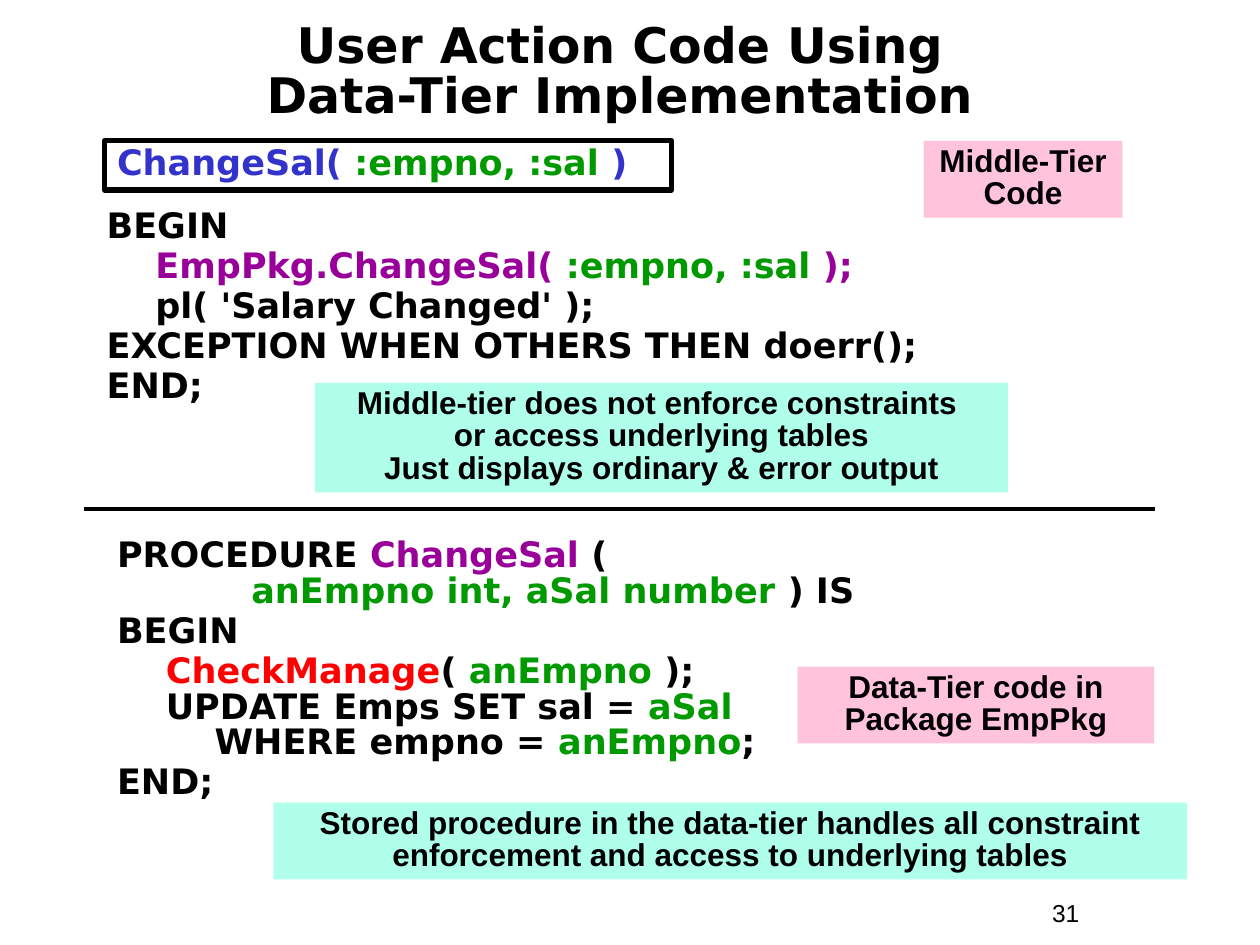
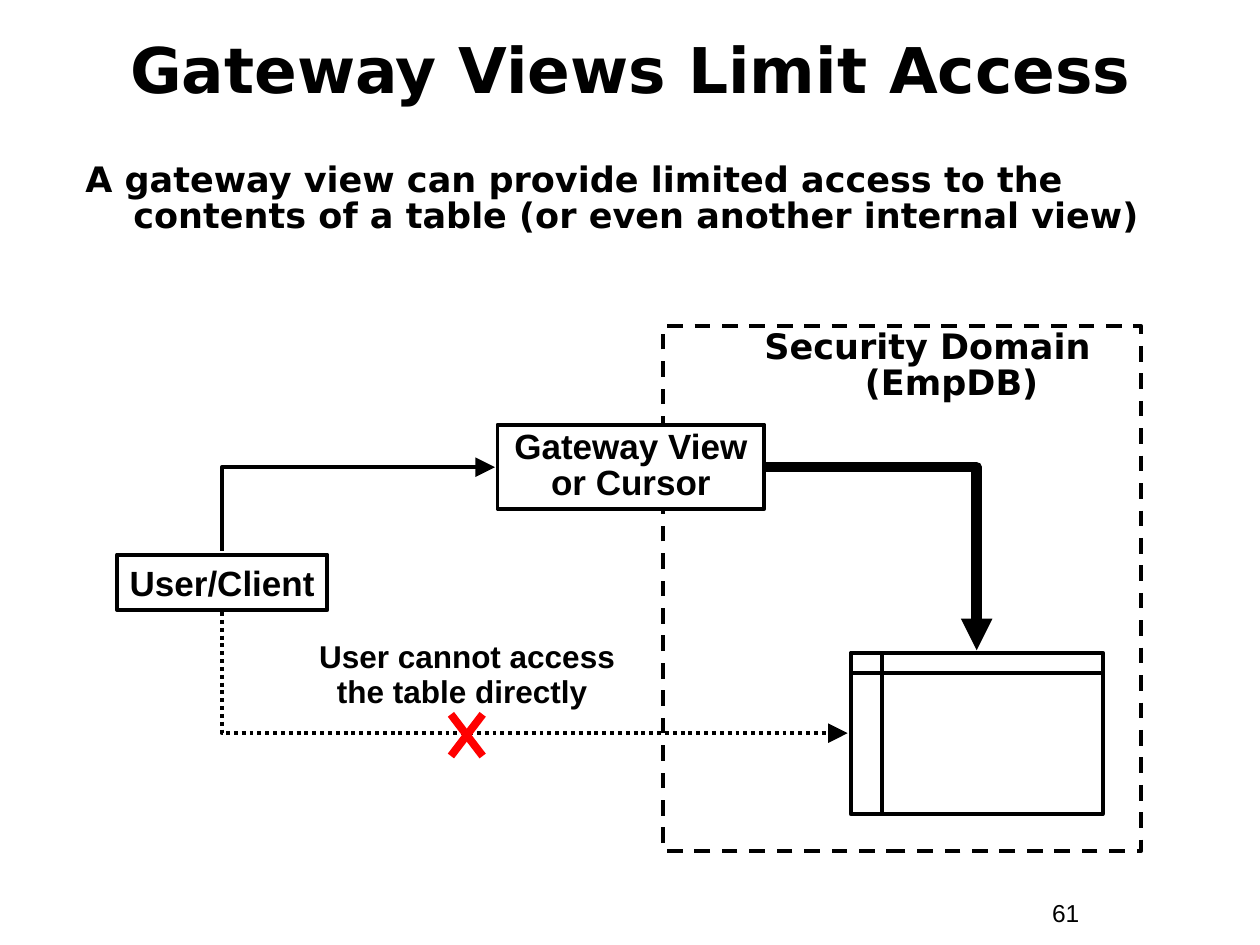
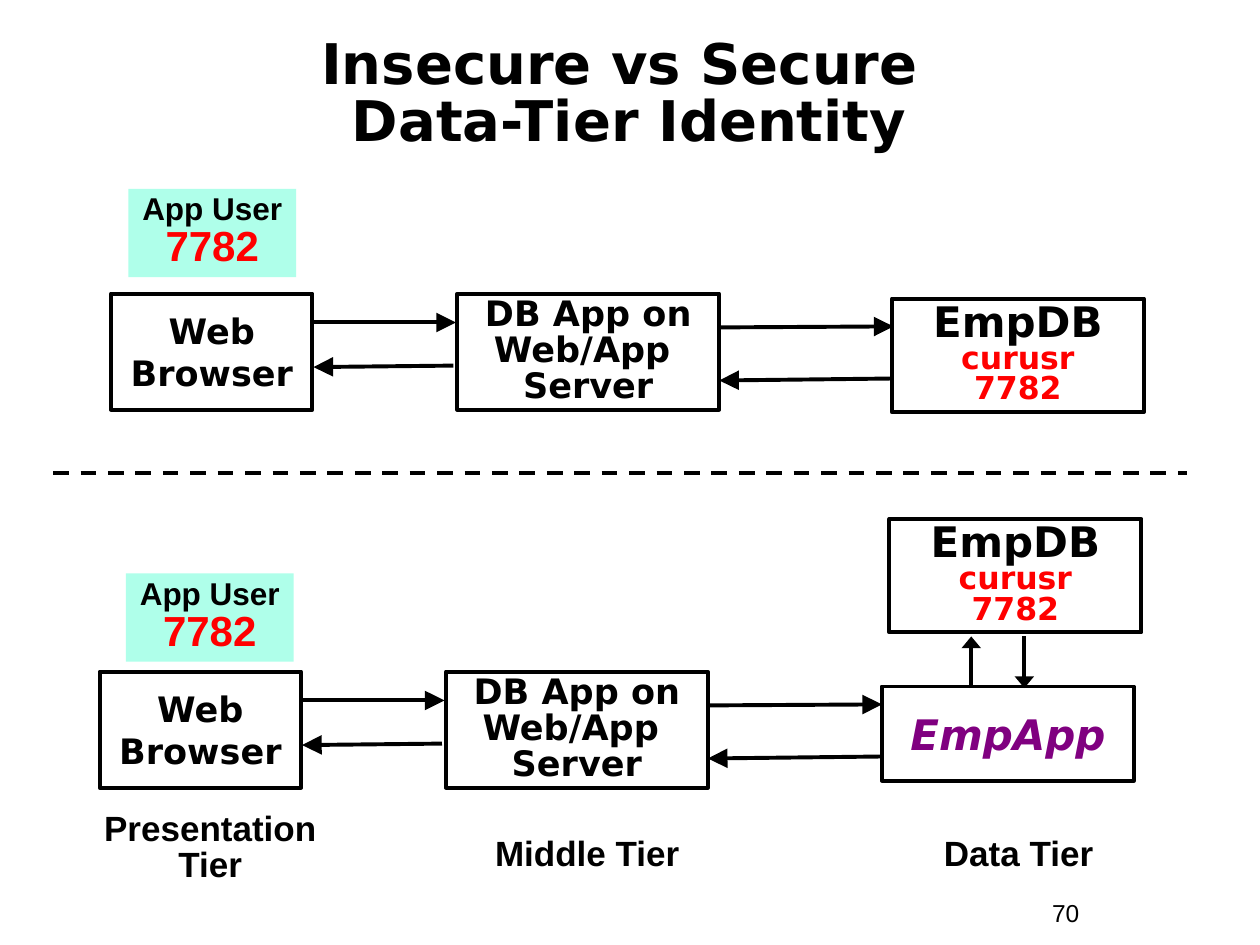
from lxml import etree
from pptx import Presentation
from pptx.dml.color import RGBColor
from pptx.enum.dml import MSO_LINE
from pptx.enum.shapes import MSO_CONNECTOR, MSO_SHAPE
from pptx.enum.text import MSO_ANCHOR, MSO_AUTO_SIZE, PP_ALIGN
from pptx.oxml.ns import qn
from pptx.util import Cm, Pt

RECT, STORAGE = MSO_SHAPE.RECTANGLE, MSO_SHAPE.FLOWCHART_INTERNAL_STORAGE
STRAIGHT, ELBOW = MSO_CONNECTOR.STRAIGHT, MSO_CONNECTOR.ELBOW
LEFT, CENTER = PP_ALIGN.LEFT, PP_ALIGN.CENTER
TOP, MIDDLE = MSO_ANCHOR.TOP, MSO_ANCHOR.MIDDLE
DASH, DOTS = MSO_LINE.DASH, MSO_LINE.ROUND_DOT

COLORS = {
    "black": "000000", "white": "FFFFFF", "red": "FF0000", "green": "009900",
    "violet": "990099", "purple": "800080", "blue": "3333CC",
    "pink": "FFC3DB", "mint": "AFFFEA",
}
COLORS = {name: RGBColor.from_string(value) for name, value in COLORS.items()}
SANS, MONO = "Arial", "DejaVu Sans"
TITLE, TEXT = "title", "text"
THIN = 2.25


def add_box(slide, kind, place, paragraphs=(), size=20, face=SANS, align=CENTER,
            anchor=TOP, spacing=0.85, bold=True, wrap=True, fill=None, edge=None, dash=None):
    """Place a box; a paragraph is a string or a list of (text, colour, size) pieces."""
    left, top, width, height = (Cm(length) for length in place)
    if kind == TITLE:
        box = slide.shapes.title
        box.left, box.top, box.width, box.height = left, top, width, height
    elif kind == TEXT:
        box = slide.shapes.add_textbox(left, top, width, height)
    else:
        box = slide.shapes.add_shape(kind, left, top, width, height)
        box.shadow.inherit = False
        box.fill.background()
        box.line.fill.background()
    if fill:
        box.fill.solid()
        box.fill.fore_color.rgb = COLORS[fill]
    if edge:
        box.line.color.rgb = COLORS["black"]
        box.line.width = Pt(edge)
    if dash:
        box.line.dash_style = dash

    frame = box.text_frame
    frame.word_wrap = wrap
    frame.auto_size = MSO_AUTO_SIZE.NONE
    frame.vertical_anchor = anchor
    for index, content in enumerate(paragraphs):
        paragraph = frame.add_paragraph() if index else frame.paragraphs[0]
        paragraph.alignment = align
        paragraph.line_spacing = spacing
        paragraph.space_before = Pt(2.5 if index else 0)
        pieces = [(content, "black")] if isinstance(content, str) else content
        for text, color, *own_size in pieces:
            points = own_size[0] if own_size else size
            for row, line in enumerate(text.split("\n")):
                if row:
                    paragraph.add_line_break()
                    line_break = paragraph._p.findall(qn("a:br"))[-1]
                    etree.SubElement(line_break, qn("a:rPr"), sz=str(points * 100))
                if line:
                    run = paragraph.add_run()
                    run.text = line
                    run.font.name, run.font.size = face, Pt(points)
                    run.font.bold = bold
                    run.font.color.rgb = COLORS[color]
    return box


def add_line(slide, start, end, width=THIN, color="black", dash=None,
             head=None, turn=None):
    """Draw a line; head is (width, length) of the arrowhead, turn the first leg of an elbow."""
    (x1, y1), (x2, y2) = start, end
    down = y2 > y1
    if turn == "vertical":
        # The elbow runs across first, so its frame is turned a quarter around the centre
        mid_x, mid_y = (x1 + x2) / 2, (y1 + y2) / 2
        half_w, half_h = abs(y2 - y1) / 2, (x2 - x1) / 2 * (1 if down else -1)
        x1, y1, x2, y2 = mid_x + half_w, mid_y - half_h, mid_x - half_w, mid_y + half_h
    line = slide.shapes.add_connector(ELBOW if turn else STRAIGHT,
                                      Cm(x1), Cm(y1), Cm(x2), Cm(y2))
    properties = line._element.spPr
    if turn:
        properties.find(qn("a:prstGeom")).set("prst", "bentConnector2")
    if turn == "vertical":
        properties.find(qn("a:xfrm")).set("rot", str((270 if down else 90) * 60000))
    line.line.color.rgb = COLORS[color]
    line.line.width = Pt(width)
    if dash:
        line.line.dash_style = dash
    if head:
        etree.SubElement(line.line._get_or_add_ln(), qn("a:tailEnd"),
                         type="triangle", w=head[0], len=head[1])
    etree.SubElement(properties, qn("a:effectLst"))
    return line


LARGE, MEDIUM, SHORT = ("lg", "lg"), ("med", "med"), ("lg", "med")

prs = Presentation()
prs.slide_width, prs.slide_height = Cm(25.4), Cm(19.05)
title_only = prs.slide_layouts[5]

# Titles and page numbers
pages = []
for title, place, size, spacing, number in [
    ("User Action Code Using\nData-Tier Implementation", (0.64, 0.53, 23.7, 1.9), 28, 0.85, "31"),
    ("Gateway Views Limit Access", (0.43, 0.2, 24.56, 2.34), 36, 1.0, "61"),
    ("Insecure vs Secure \nData-Tier Identity", (0.84, 0.69, 23.7, 2.49), 32, 0.85, "70"),
]:
    page = prs.slides.add_slide(title_only)
    add_box(page, TITLE, place, [title], size, MONO, anchor=MIDDLE, spacing=spacing)
    add_box(page, TEXT, (20.96, 17.98, 2.34, 0.86), [number], 14, align=LEFT,
            spacing=1.0, bold=False)
    pages.append(page)
code_page, gateway_page, identity_page = pages

# Slide 1: code of both tiers
procedure = [
    [("PROCEDURE ", "black"), ("ChangeSal", "violet"), (" ( \n           ", "black"),
     ("anEmpno int, aSal number", "green"), (" ) IS", "black")],
    "BEGIN",
    [("    ", "black"), ("CheckManage", "red"), ("( ", "black"), ("anEmpno", "green"),
     (" );\n    UPDATE Emps SET sal = ", "black"), ("aSal\n", "green"),
     ("        WHERE empno = ", "black"), ("anEmpno", "green"), (";", "black")],
    "END;",
]
user_action = [
    "BEGIN",
    [("    ", "black"), ("EmpPkg.ChangeSal( ", "violet"), (":empno, :sal", "green"),
     (" );", "violet")],
    "    pl( 'Salary Changed' );",
    "EXCEPTION WHEN OTHERS THEN doerr();",
    "END;",
]
signature = [[("ChangeSal( ", "blue"), (":empno, :sal ", "green"), (")", "blue")]]
add_box(code_page, TEXT, (2.11, 10.74, 21.16, 5.56), procedure, face=MONO, align=LEFT)
add_line(code_page, (1.7, 10.26), (23.29, 10.26))
add_box(code_page, TEXT, (1.9, 4.11, 20.32, 4.22), user_action, face=MONO, align=LEFT)

# Slide 1: tier labels and remarks
for remark, place, fill in [
    ("Data-Tier code in Package EmpPkg", (16.08, 13.44, 7.19, 1.55), "pink"),
    ("Middle-tier does not enforce constraints \nor access underlying tables\n"
     "Just displays ordinary & error output", (6.35, 7.72, 13.97, 2.21), "mint"),
    ("Stored procedure in the data-tier handles all constraint enforcement "
     "and access to underlying tables", (5.51, 16.18, 18.42, 1.55), "mint"),
    ("Middle-Tier Code", (18.62, 2.84, 4.01, 1.55), "pink"),
]:
    add_box(code_page, RECT, place, [remark], 18, fill=fill)
add_box(code_page, RECT, (2.11, 2.84, 11.43, 0.99), signature, face=MONO, align=LEFT, edge=3)

# Slide 2: client, table and the barred direct path
add_box(gateway_page, RECT, (2.36, 11.18, 4.24, 1.12), ["User/Client"], anchor=MIDDLE,
        spacing=1.0, wrap=False, edge=THIN)
add_box(gateway_page, STORAGE, (17.15, 13.16, 5.08, 3.25), edge=THIN)
add_line(gateway_page, (4.47, 12.34), (17.09, 14.78), dash=DOTS, head=LARGE, turn="vertical")
for cross_start, cross_end in [(9.09, 9.73), (9.73, 9.09)]:
    add_line(gateway_page, (cross_start, 14.4), (cross_end, 15.24), 4.5, "red")
add_box(gateway_page, TEXT, (5.92, 12.83, 6.99, 1.63),
        [[("User cannot access the table directly", "black"), (" ", "black", 20)]], 18)

# Slide 2: path through the gateway into the security domain
add_line(gateway_page, (15.44, 9.42), (19.69, 13.11), 6, head=MEDIUM, turn="horizontal")
add_line(gateway_page, (4.47, 11.1), (9.98, 9.42), head=LARGE, turn="vertical")
add_box(gateway_page, RECT, (13.36, 6.58, 9.65, 10.57), edge=THIN, dash=DASH)
for wording, place, align in [
    ("Security Domain\n(EmpDB)", (14.99, 6.55, 7.42, 1.7), CENTER),
    ("A gateway view can provide limited access to the contents of a table "
     "(or even another internal view)", (1.47, 3.18, 22.02, 1.7), LEFT),
]:
    hanging = add_box(gateway_page, TEXT, place, [wording], face=MONO, align=align)
    indents = hanging.text_frame.paragraphs[0]._p.get_or_add_pPr()
    indents.set("marL", str(Cm(0.97)))
    indents.set("indent", str(-Cm(0.97)))
add_box(gateway_page, RECT, (10.03, 8.56, 5.38, 1.7), ["Gateway View\nor Cursor"],
        anchor=MIDDLE, fill="white", edge=THIN)

# Slide 3: tier captions and divider
for caption, place, align in [
    ("Presentation Tier", (1.7, 16.26, 5.08, 1.7), CENTER),
    ("Data Tier", (18.21, 16.64, 4.65, 1.12), CENTER),
    ("Middle Tier", (9.73, 16.64, 4.45, 1.12), LEFT),
]:
    add_box(identity_page, TEXT, place, [caption], align=align,
            spacing=0.85 if caption.startswith("Presentation") else 1.0)
add_line(identity_page, (1.07, 9.53), (23.93, 9.53), dash=DASH)

# Slide 3: insecure chain above, secure chain below, shifted by (dx, dy)
database = [[("EmpDB\n", "black", 24), ("curusr\n7782", "red")]]
app_user = [[("App User\n", "black"), ("7782", "red", 24)]]
for dx, dy, badge_place, database_place in [
    (0, 0, (2.59, 3.81), (17.98, 6.02)),
    (-0.23, 7.62, (2.54, 11.56), (17.93, 10.46)),
]:
    add_box(identity_page, RECT, (2.24 + dx, 5.92 + dy, 4.06, 2.34), ["Web\nBrowser"],
            face=MONO, anchor=MIDDLE, spacing=1.0, wrap=False, edge=THIN)
    add_box(identity_page, RECT, (9.22 + dx, 5.92 + dy, 5.28, 2.34),
            ["DB App on\nWeb/App \nServer"], face=MONO, anchor=MIDDLE, wrap=False, edge=THIN)
    add_box(identity_page, RECT, (*database_place, 5.08, 2.29), database, 18, MONO,
            anchor=MIDDLE, spacing=0.8, edge=THIN)
    add_box(identity_page, RECT, (*badge_place, 3.38, 1.78), app_user, 18, fill="mint")
    for x1, y1, x2, y2 in [
        (6.32, 6.5, 9.19, 6.5), (14.53, 6.6, 18.01, 6.58),
        (18.01, 7.63, 14.5, 7.67), (9.14, 7.37, 6.32, 7.4),
    ]:
        add_line(identity_page, (x1 + dx, y1 + dy), (x2 + dx, y2 + dy), head=LARGE)

# Slide 3: application identity in front of the database
emp_app = add_box(identity_page, RECT, (17.78, 13.84, 5.08, 1.9), [[("EmpApp", "purple")]],
                  24, MONO, anchor=MIDDLE, spacing=1.0, wrap=False, edge=THIN)
emp_app.text_frame.paragraphs[0].runs[0].font.italic = True
add_line(identity_page, (19.58, 13.87), (19.58, 12.83), head=SHORT)
add_line(identity_page, (20.65, 12.83), (20.65, 13.87), head=SHORT)

prs.save("out.pptx")
